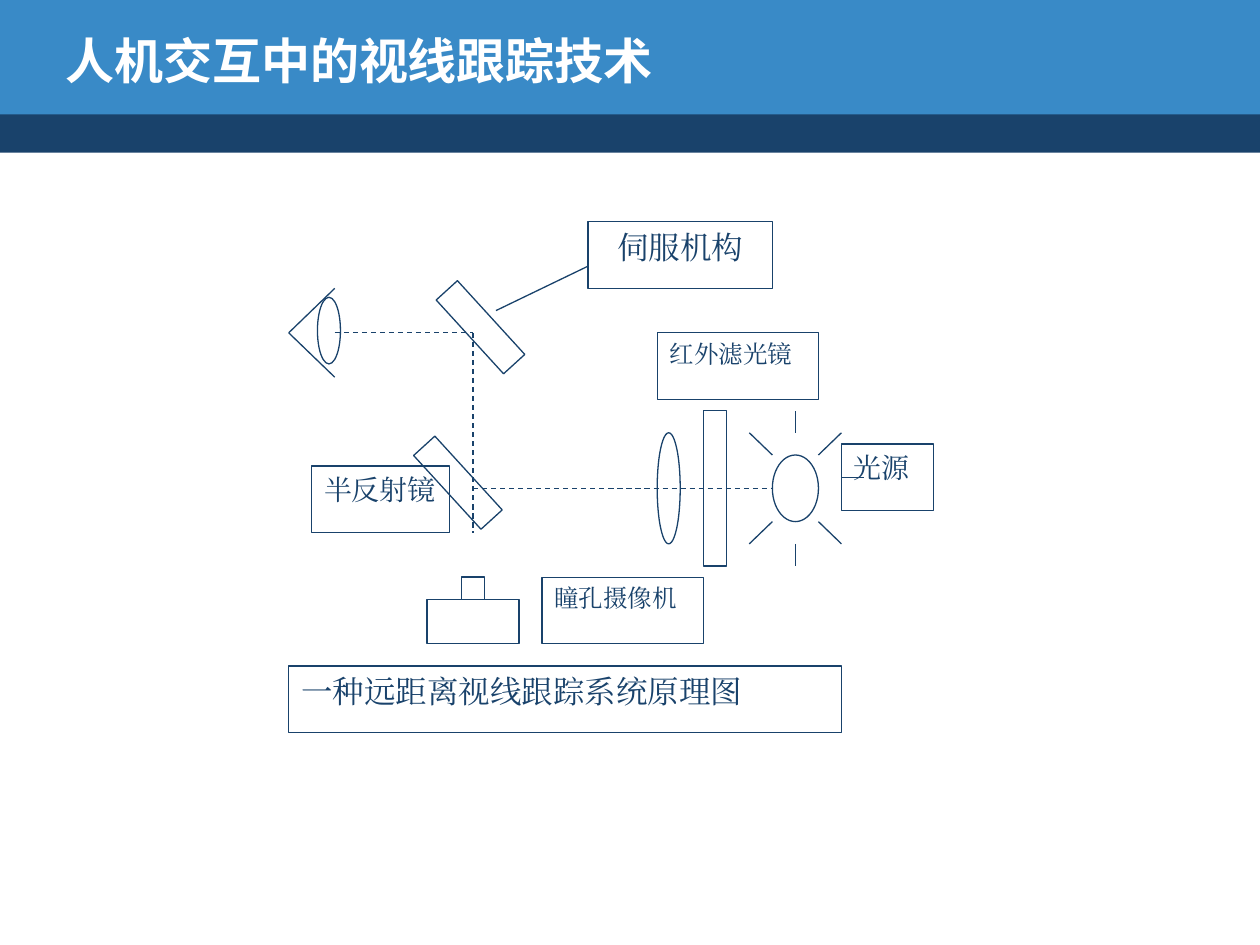
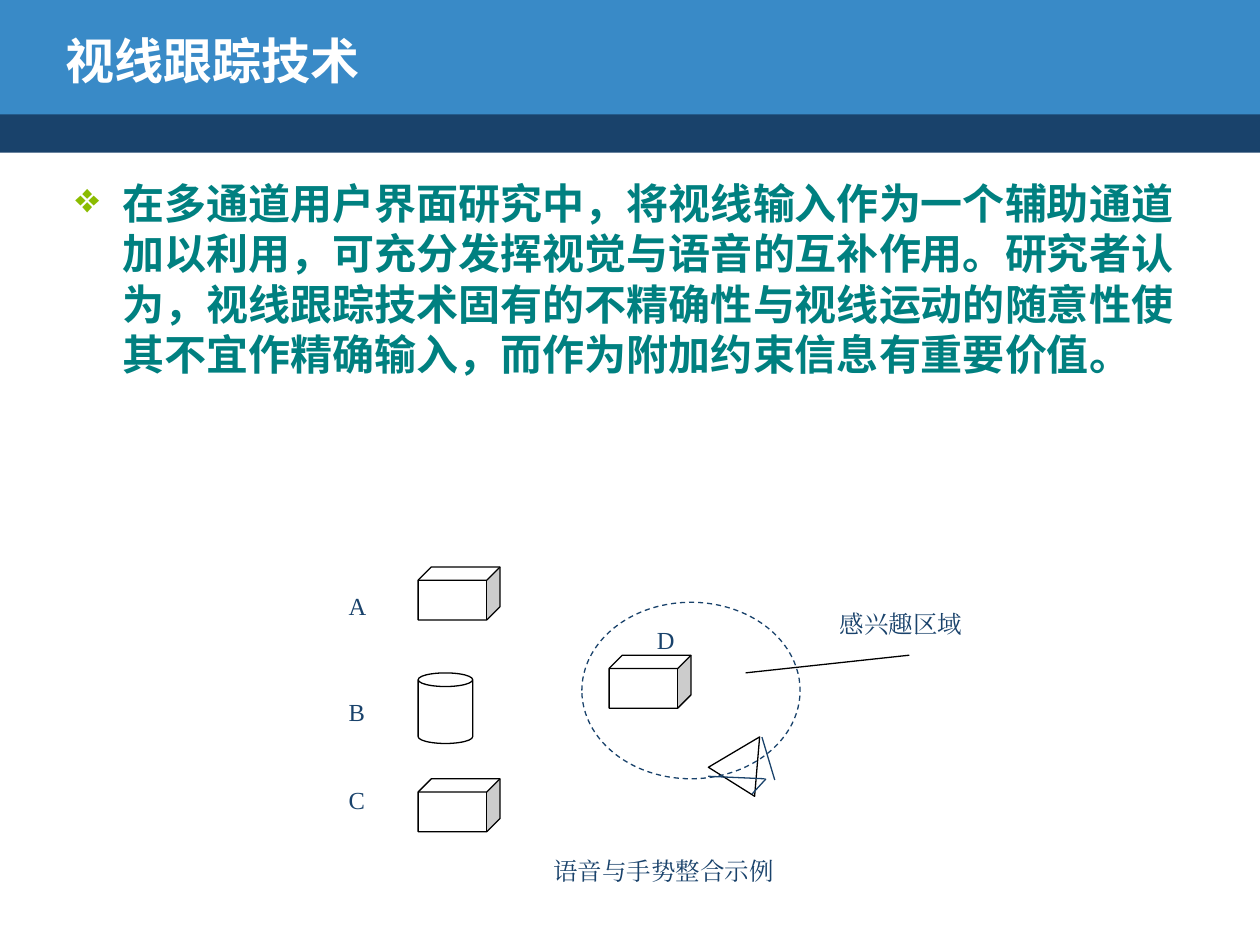
"""Build two slides on gaze tracking, each diagram laid out on its own grid."""
from lxml import etree
from pptx import Presentation
from pptx.dml.color import RGBColor
from pptx.enum.dml import MSO_LINE
from pptx.enum.shapes import MSO_CONNECTOR, MSO_SHAPE
from pptx.enum.text import MSO_ANCHOR, PP_ALIGN
from pptx.oxml.ns import qn
from pptx.util import Cm, Pt

RECT, OVAL = MSO_SHAPE.RECTANGLE, MSO_SHAPE.OVAL
CUBE, CAN = MSO_SHAPE.CUBE, MSO_SHAPE.CAN
WEDGE = MSO_SHAPE.ISOSCELES_TRIANGLE
LINE, DASH = MSO_CONNECTOR.STRAIGHT, MSO_LINE.DASH
TOP, MID = MSO_ANCHOR.TOP, MSO_ANCHOR.MIDDLE
LEFT, CENTER, JUST = PP_ALIGN.LEFT, PP_ALIGN.CENTER, PP_ALIGN.JUSTIFY

HEX = {"navy": "19426B", "blue": "398AC7", "white": "FFFFFF",
       "black": "000000", "teal": "008080", "lime": "8BBC00"}
SANS, SERIF = "Noto Sans CJK SC", "Times New Roman"

BANDS = [("navy", (0, 2.2, 25.4, 0.88)), ("blue", (0, 0, 25.4, 2.31))]
TITLE = (1.07, 0.43, 20.52, 1.57)
BODY = (1.27, 3.45, 22.86, 7.6)

OPTIC = {"left": 5.82, "top": 4.47, "dx": 13 / 28, "dy": 10.3 / 23}
SCENE = {"left": 6.78, "top": 11.43, "dx": 0.55, "dy": 6.76 / 19}

LIDS = [(2, 3, 0, 5), (0, 5, 2, 7)]
PARTS = [
    (OVAL, (1.25, 3.4, 1, 3), 0),
    (RECT, (7.7, 2.5, 1.25, 4.5), 137.6),
    (RECT, (6.72, 9.5, 1.25, 4.5), 137.6),
    (OVAL, (16, 9.5, 1, 5), 0),
    (RECT, (18, 8.5, 1, 7), 0),
    (OVAL, (21, 10.5, 2, 3), 0),
    (RECT, (6, 17, 4, 2), 0),
    (RECT, (7.5, 16, 1, 1), 0),
]
BEAMS = [(2, 5, 8, 5), (8, 5, 8, 14), (8, 12, 21, 12)]
LAMP = (22, 12)
RAYS = [(side, end) for side in (-1, 0, 1) for end in (-1, 1)]
LEADS = [(24, 11.5, 25, 11.5), (9, 4, 13, 2)]
LABELS = [
    ("伺服机构", (13, 0, 8, 3), 18, CENTER, "white"),
    ("半反射镜", (1, 11, 6, 3), 16, JUST, None),
    ("瞳孔摄像机", (11, 16, 7, 3), 14, JUST, None),
    ("光源", (24, 10, 4, 3), 16, JUST, None),
    ("红外滤光镜", (16, 5, 7, 3), 14, JUST, None),
    ("一种远距离视线跟踪系统原理图", (0, 20, 24, 3), 18, JUST, None),
]

POINT = "在多通道用户界面研究中，将视线输入作为一个辅助通道加以利用，可充分发挥视觉与语音的互补作用。研究者认为，视线跟踪技术固有的不精确性与视线运动的随意性使其不宜作精确输入，而作为附加约束信息有重要价值。"
SOLIDS = [
    (CUBE, (3, 0, 3, 3), 0),
    (CUBE, (3, 12, 3, 3), 0),
    (CUBE, (10, 5, 3, 3), 0),
    (CAN, (3, 6, 2, 4), 0),
    (WEDGE, (14, 9.4, 2, 3), 32.1),
]
HAND = [(15.24, 12.86, 15.75, 12), (13.63, 11.86, 15.7, 12),
        (15.6, 9.64, 16.07, 12.07)]
ZONE = (9, 2, 8, 10)
NOTES = [
    ("A", (0, 1, 3, 3), JUST),
    ("B", (0, 7, 3, 3), JUST),
    ("C", (0, 12, 3, 3), JUST),
    ("D", (11.3, 2.95, 3, 3), JUST),
    ("感兴趣区域", (18, 2, 7, 3), JUST),
    ("语音与手势整合示例", (2, 16, 20, 3), CENTER),
]


def color(name):
    return RGBColor.from_string(HEX[name])


def place(grid, x, y):
    return grid["left"] + x * grid["dx"], grid["top"] + y * grid["dy"]


def area(grid, cell):
    x, y, w, h = cell
    return (*place(grid, x, y), w * grid["dx"], h * grid["dy"])


def shape(slide, kind, box, fill=None, line=None, dash=None, turn=0):
    item = slide.shapes.add_shape(kind, *map(Cm, box))
    item.shadow.inherit = False
    item.rotation = turn
    if fill:
        item.fill.solid()
        item.fill.fore_color.rgb = color(fill)
    else:
        item.fill.background()
    if line:
        stroke(item, line, dash)
    else:
        item.line.fill.background()
    return item


def stroke(item, tint, dash=None):
    item.line.color.rgb = color(tint)
    item.line.width = Pt(0.75)
    if dash:
        item.line.dash_style = dash


def link(slide, grid, ends, tint="navy", dash=None):
    x1, y1, x2, y2 = ends
    spots = place(grid, x1, y1) + place(grid, x2, y2)
    item = slide.shapes.add_connector(LINE, *map(Cm, spots))
    stroke(item, tint, dash)
    etree.SubElement(item._element.spPr, qn("a:effectLst"))


def bullet(para, mark, tint):
    props = para._p.get_or_add_pPr()
    props.set("marL", str(Cm(0.96)))
    props.set("indent", str(-Cm(0.96)))
    paint = etree.SubElement(props, qn("a:buClr"))
    etree.SubElement(paint, qn("a:srgbClr"), val=HEX[tint])
    etree.SubElement(props, qn("a:buChar"), char=mark)


def write(slide, text, box, item=None, size=14, font=SERIF, tint="navy",
          bold=False, align=LEFT, anchor=TOP, mark=None):
    item = item or slide.shapes.add_textbox(*map(Cm, box))
    frame = item.text_frame
    frame.word_wrap = True
    frame.vertical_anchor = anchor
    para = frame.paragraphs[0]
    para.alignment = align
    if mark:
        bullet(para, mark, "lime")
    run = para.add_run()
    run.text = text
    run.font.size = Pt(size)
    run.font.name = font
    run.font.bold = bold
    run.font.color.rgb = color(tint)
    etree.SubElement(run.font._element, qn("a:ea"), typeface=font)


def start(deck, title):
    slide = deck.slides.add_slide(deck.slide_layouts[6])
    for tint, box in BANDS:
        shape(slide, RECT, box, tint)
    write(slide, title, TITLE, size=28, font=SANS, tint="white",
          bold=True, anchor=MID)
    return slide


def optics(deck):
    slide = start(deck, "人机交互中的视线跟踪技术")
    for ends in LIDS:
        link(slide, OPTIC, ends)
    for kind, cell, turn in PARTS:
        shape(slide, kind, area(OPTIC, cell), "white", "navy", turn=turn)
    for ends in BEAMS:
        link(slide, OPTIC, ends, dash=DASH)
    x, y = LAMP
    for side, end in RAYS:
        near = 1.5 if side else 2.5
        link(slide, OPTIC, (x + side, y + end * near,
                            x + 2 * side, y + end * (near + 1)))
    for ends in LEADS:
        link(slide, OPTIC, ends)
    for text, cell, size, align, fill in LABELS:
        box = area(OPTIC, cell)
        item = shape(slide, RECT, box, fill, "navy")
        write(slide, text, box, item, size=size, align=align)


def scene(deck):
    slide = start(deck, "视线跟踪技术")
    write(slide, POINT, BODY, size=24, font=SANS, tint="teal",
          bold=True, mark="❖")
    for kind, cell, turn in SOLIDS:
        shape(slide, kind, area(SCENE, cell), "white", "black", turn=turn)
    for ends in HAND:
        link(slide, SCENE, ends)
    shape(slide, OVAL, area(SCENE, ZONE), line="navy", dash=DASH)
    for text, cell, align in NOTES:
        write(slide, text, area(SCENE, cell), align=align)
    link(slide, SCENE, (15, 6, 21, 5), "black")


def main():
    deck = Presentation()
    deck.slide_width, deck.slide_height = Cm(25.4), Cm(19.05)
    optics(deck)
    scene(deck)
    deck.save("out.pptx")


if __name__ == "__main__":
    main()
